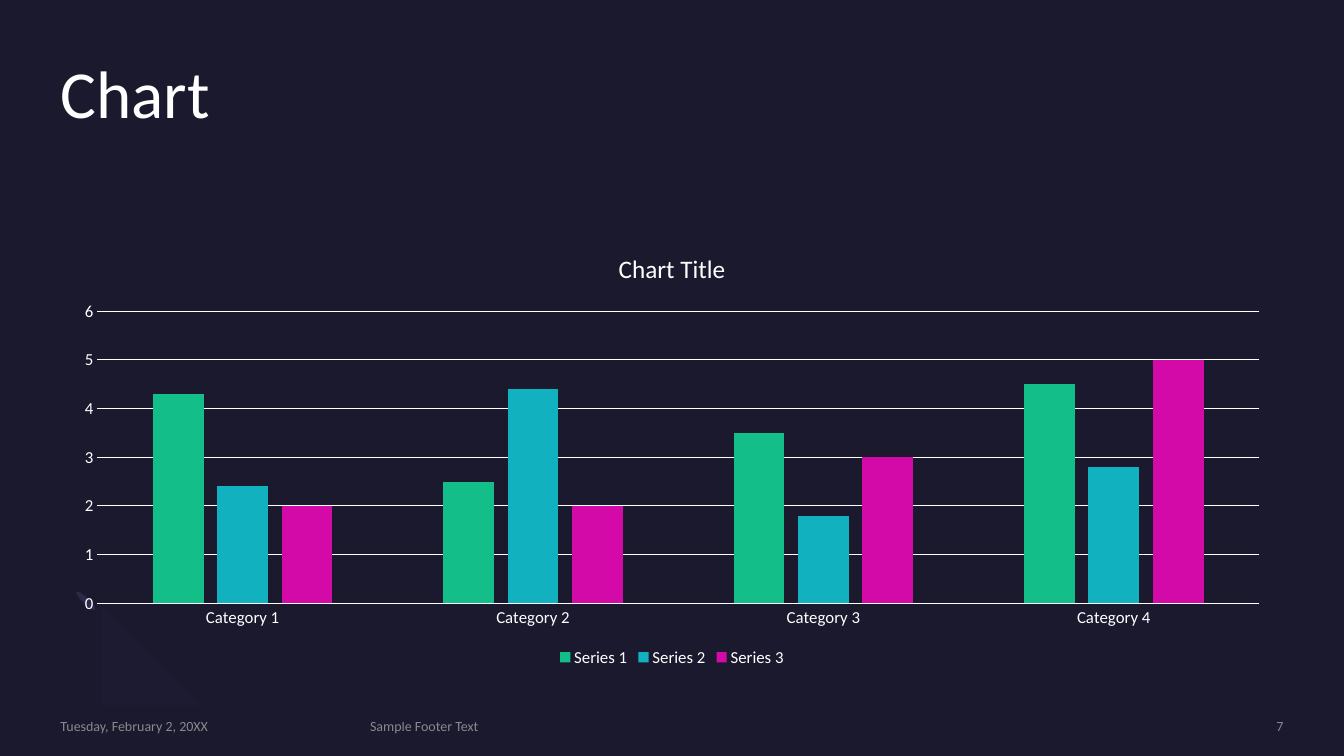
from lxml import etree
from pptx import Presentation
from pptx.chart.data import CategoryChartData
from pptx.dml.color import RGBColor
from pptx.enum.chart import XL_CHART_TYPE, XL_LEGEND_POSITION, XL_TICK_MARK
from pptx.enum.shapes import MSO_SHAPE
from pptx.enum.text import MSO_ANCHOR, PP_ALIGN
from pptx.oxml.ns import qn
from pptx.util import Inches, Pt

# Content
TITLE = "Chart"
CHART_TITLE = "Chart Title"
CATEGORIES = ["Category 1", "Category 2", "Category 3", "Category 4"]
SERIES = [
    ("Series 1", (4.3, 2.5, 3.5, 4.5), "13BE89"),
    ("Series 2", (2.4, 4.4, 1.8, 2.8), "12B1BF"),
    ("Series 3", (2, 2, 3, 5), "D40AA8"),
]
FOOTER = [  # text, left, width, alignment
    ("Tuesday, February 2, 20XX", 0.6, 2.88, PP_ALIGN.LEFT),
    ("Sample Footer Text", 3.67, 6.98, PP_ALIGN.LEFT),
    ("7", 10.88, 1.85, PP_ALIGN.RIGHT),
]
RING_ENDS = [(1.35, 6.37), (0.82, 5.83)]
RING_START = (0.76, 6.59)
RING_CURVES = [  # three Bezier points each; a single point is a straight line
    [(0.56, 6.39), (0.58, 6.05), (0.81, 5.82)],
    [(0.99, 6.0)],
    [(0.87, 6.11), (0.86, 6.29), (0.96, 6.38)],
    [(1.06, 6.48), (1.23, 6.47), (1.35, 6.36)],
    [(1.52, 6.54)],
    [(1.3, 6.76), (0.95, 6.79), (0.76, 6.59)],
]

THEME = {
    "font": "Calibri", "bg": "1B192E", "text": "FFFFFF", "footer": "A6A6A6",
    "ring": "1D1B31", "ring_end": "2C284A",
    "title_pt": 48, "chart_title_pt": 18, "label_pt": 12, "footer_pt": 10,
}
MARGIN, CONTENT_W = 0.6, 12.13


def rgb(name):
    return RGBColor.from_string(THEME[name])


def style_font(font, size, color="text"):
    font.name = THEME["font"]
    font.size = Pt(THEME[size])
    font.bold = False
    font.color.rgb = rgb(color)


def paint(shape, color):
    shape.shadow.inherit = False
    shape.fill.solid()
    shape.fill.fore_color.rgb = rgb(color)
    shape.line.fill.background()


def add_text(s, text, box, size, color="text", align=PP_ALIGN.LEFT, anchor=MSO_ANCHOR.TOP):
    tf = s.shapes.add_textbox(*map(Inches, box)).text_frame
    tf.word_wrap = True
    tf.vertical_anchor = anchor
    tf.margin_left = tf.margin_right = tf.margin_top = tf.margin_bottom = 0
    p = tf.paragraphs[0]
    p.text = text
    p.alignment = align
    style_font(p.font, size, color)
    return p


def bezier(points, steps=10):
    for i in range(1, steps + 1):
        t = i / steps
        weights = ((1 - t) ** 3, 3 * t * (1 - t) ** 2, 3 * t * t * (1 - t), t ** 3)
        yield tuple(sum(w * pt[axis] for w, pt in zip(weights, points)) for axis in (0, 1))


def add_ring(s):
    for left, top in RING_ENDS:
        end = s.shapes.add_shape(MSO_SHAPE.OVAL, *map(Inches, (left, top, 0.06, 0.26)))
        end.rotation = 135
        paint(end, "ring_end")
    outline, last = [], RING_START
    for curve in RING_CURVES:
        outline += bezier([last, *curve]) if len(curve) == 3 else curve
        last = curve[-1]
    builder = s.shapes.build_freeform(*RING_START, scale=Inches(1))
    builder.add_line_segments(outline, close=True)
    paint(builder.convert_to_shape(), "ring")


def add_column_chart(s):
    data = CategoryChartData()
    data.categories = CATEGORIES
    for name, values, _ in SERIES:
        data.add_series(name, values)
    box = map(Inches, (MARGIN, 2.31, CONTENT_W, 4.35))
    chart = s.shapes.add_chart(XL_CHART_TYPE.COLUMN_CLUSTERED, *box, data).chart
    style_font(chart.font, "label_pt")

    # Title and legend
    chart.has_title = True
    p = chart.chart_title.text_frame.paragraphs[0]
    p.text = CHART_TITLE
    style_font(p.font, "chart_title_pt")
    chart.chart_title.include_in_layout = False
    chart.has_legend = True
    chart.legend.position = XL_LEGEND_POSITION.BOTTOM
    chart.legend.include_in_layout = False
    style_font(chart.legend.font, "label_pt")

    # Axes
    value_axis, category_axis = chart.value_axis, chart.category_axis
    for axis in (value_axis, category_axis):
        axis.major_tick_mark = axis.minor_tick_mark = XL_TICK_MARK.NONE
        style_font(axis.tick_labels.font, "label_pt")
    value_axis.minimum_scale, value_axis.maximum_scale, value_axis.major_unit = 0, 6, 1
    value_axis.has_major_gridlines = True
    value_axis.format.line.fill.background()
    for line in (category_axis.format.line, value_axis.major_gridlines.format.line):
        line.color.rgb = rgb("text")
        line.width = Pt(0.75)

    # Columns
    plot = chart.plots[0]
    plot.gap_width, plot.overlap, plot.vary_by_categories = 219, -27, False
    for series, (_, _, color) in zip(plot.series, SERIES):
        series.format.fill.solid()
        series.format.fill.fore_color.rgb = RGBColor.from_string(color)


def main():
    prs = Presentation()
    prs.slide_width, prs.slide_height = Inches(13.33), Inches(7.5)
    s = prs.slides.add_slide(prs.slide_layouts[6])
    s.background.fill.solid()
    s.background.fill.fore_color.rgb = rgb("bg")

    add_ring(s)
    title = add_text(s, TITLE, (MARGIN, 0.6, CONTENT_W, 1.46), "title_pt")
    title.line_spacing = 0.9
    add_column_chart(s)

    # Footer, slightly transparent
    for text, left, width, align in FOOTER:
        p = add_text(s, text, (left, 7.12, width, 0.17), "footer_pt", "footer",
                     align, MSO_ANCHOR.MIDDLE)
        for color in p._p.iter(qn("a:srgbClr")):
            etree.SubElement(color, qn("a:alpha"), val="80000")

    prs.save("out.pptx")


if __name__ == "__main__":
    main()
